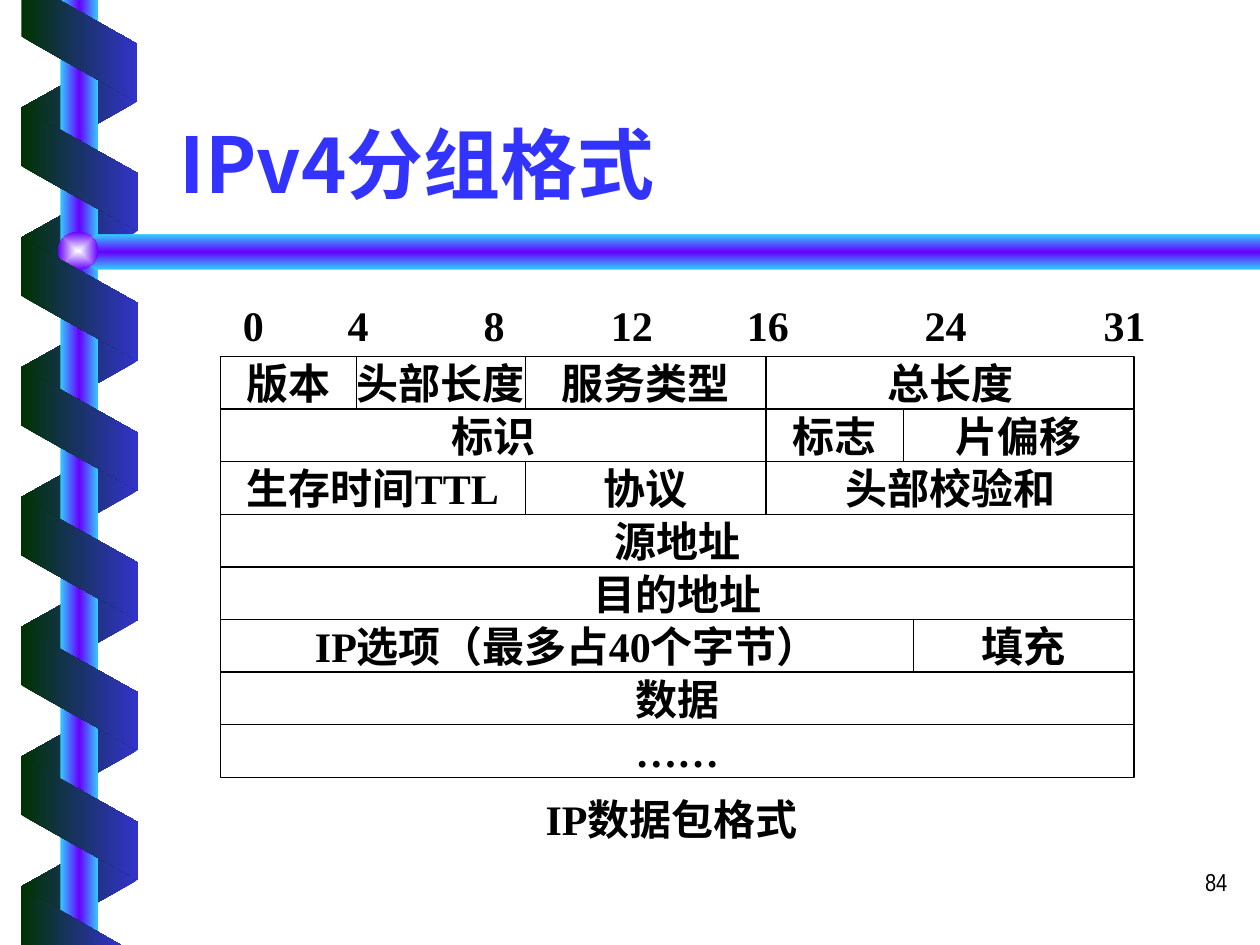
from lxml.etree import SubElement
from pptx import Presentation
from pptx.dml.color import RGBColor
from pptx.enum.shapes import MSO_SHAPE
from pptx.enum.text import MSO_ANCHOR, PP_ALIGN
from pptx.oxml.ns import qn
from pptx.util import Inches, Pt

BLACK = RGBColor(0x00, 0x00, 0x00)
TITLE_BLUE = RGBColor(0x33, 0x33, 0xFF)
RIBBON_BLUE = RGBColor(0x33, 0x33, 0xCC)
RIBBON_GREEN = RGBColor(0x00, 0x33, 0x00)
SKY = RGBColor(0x33, 0xCC, 0xFF)
VIOLET = RGBColor(0x66, 0x00, 0xFF)
PEARL = RGBColor(0xFE, 0xFF, 0xFF)
SERIF = "Times New Roman"
CHINESE = "Noto Sans CJK SC"
NARROW = "Arial Narrow"


def paint_gradient(shape, colors, angle=0, radial=False):
    shape.shadow.inherit = False
    shape.line.fill.background()
    shape.fill.gradient()
    gradient = shape.element.spPr.find(qn("a:gradFill"))
    gradient.set("rotWithShape", "0")
    for child in list(gradient):
        gradient.remove(child)
    stops = SubElement(gradient, qn("a:gsLst"))
    for index, color in enumerate(colors):
        position = 100000 * index // (len(colors) - 1)
        stop = SubElement(stops, qn("a:gs"), pos=str(position))
        SubElement(stop, qn("a:srgbClr"), val=str(color))
    if radial:
        center = SubElement(gradient, qn("a:path"), {"path": "rect"})
        SubElement(center, qn("a:fillToRect"), l="50000", t="50000", r="50000", b="50000")
    else:
        SubElement(gradient, qn("a:lin"), ang=str(angle * 60000), scaled="0")


def write_text(shape, text, size=24, font=SERIF, color=BLACK, bold=True,
               align=PP_ALIGN.CENTER, tabs=()):
    para = shape.text_frame.paragraphs[0]
    para.alignment = align
    if tabs:
        tab_list = SubElement(para._p.get_or_add_pPr(), qn("a:tabLst"))
        for stop in tabs:
            SubElement(tab_list, qn("a:tab"), pos=str(Inches(stop)), algn="l")
    span = para.add_run()
    span.text = text
    span.font.size = Pt(size)
    span.font.bold = bold
    span.font.color.rgb = color
    span.font.name = font
    SubElement(span.font._element, qn("a:ea"), typeface=CHINESE)


deck = Presentation()
deck.slide_width = Inches(10)
deck.slide_height = Inches(7.5)
page = deck.slides.add_slide(deck.slide_layouts[6])
shapes = page.shapes

for turn in range(7):
    back = shapes.add_shape(MSO_SHAPE.PARALLELOGRAM, Inches(0.14), Inches(0.37 + 1.03 * turn),
                            Inches(0.98), Inches(0.92))
    back.adjustments[0] = 0.56
    back.rotation = 90
    back.element.spPr.find(qn("a:xfrm")).set("flipH", "1")
    paint_gradient(back, [RIBBON_BLUE, RIBBON_GREEN])

pole = shapes.add_shape(MSO_SHAPE.RECTANGLE, Inches(0.48), 0, Inches(0.3), Inches(7.5))
paint_gradient(pole, [SKY, VIOLET, SKY])

bar_points = [(10, 1.86), (0.76, 1.86), (0.6, 2), (0.76, 2.14), (10, 2.14)]
ribbon_top = [(0.17, 0), (0.17, 0.29), (1.09, 0.81), (1.09, 0.35), (0.47, 0)]
ribbon_bottom = [(0.96, 7.5), (0.17, 7.05), (0.17, 7.5)]
outlines = [
    (bar_points, [SKY, VIOLET, SKY], 90),
    (ribbon_top, [RIBBON_GREEN, RIBBON_BLUE], 0),
    (ribbon_bottom, [RIBBON_GREEN, RIBBON_BLUE], 0),
]
for points, colors, angle in outlines:
    corners = [(Inches(x), Inches(y)) for x, y in points]
    builder = shapes.build_freeform(*corners[0])
    builder.add_line_segments(corners[1:], close=True)
    paint_gradient(builder.convert_to_shape(), colors, angle)

ball = shapes.add_shape(MSO_SHAPE.OVAL, Inches(0.46), Inches(1.84), Inches(0.32), Inches(0.3))
paint_gradient(ball, [PEARL, VIOLET], radial=True)

for turn in range(6):
    front = shapes.add_shape(MSO_SHAPE.PARALLELOGRAM, Inches(0.14), Inches(0.88 + 1.03 * turn),
                             Inches(0.98), Inches(0.93))
    front.adjustments[0] = 0.56
    front.rotation = 270
    paint_gradient(front, [RIBBON_GREEN, RIBBON_BLUE])

number = shapes.add_textbox(Inches(7.76), Inches(6.83), Inches(2.08), Inches(0.5))
number.text_frame.word_wrap = True
write_text(number, "84", 14, NARROW, bold=False, align=PP_ALIGN.RIGHT)

title = shapes.add_textbox(Inches(1.33), Inches(0.46), Inches(8.5), Inches(1.25))
title.text_frame.word_wrap = True
title.text_frame.vertical_anchor = MSO_ANCHOR.BOTTOM
write_text(title, "IPv4分组格式", 44, CHINESE, TITLE_BLUE, align=PP_ALIGN.LEFT)

ruler = shapes.add_textbox(Inches(1.83), Inches(2.33), Inches(7.42), Inches(0.5))
ruler.text_frame.word_wrap = True
write_text(ruler, "0\t4\t8\t12\t16\t24\t31", align=PP_ALIGN.LEFT,
           tabs=[0.83, 1.91, 2.92, 4, 5.41, 6.83])

LEFT, RIGHT, TOP, BOTTOM = 1.75, 9, 2.83, 6.17
header_rows = [
    [("版本", 2.83), ("头部长度", 4.17), ("服务类型", 6.08), ("总长度", RIGHT)],
    [("标识", 6.08), ("标志", 7.17), ("片偏移", RIGHT)],
    [("生存时间TTL", 4.17), ("协议", 6.08), ("头部校验和", RIGHT)],
    [("源地址", RIGHT)],
    [("目的地址", RIGHT)],
    [("IP选项（最多占40个字节）", 7.25), ("填充", RIGHT)],
    [("数据", RIGHT)],
    [("……", RIGHT)],
]
row_height = (BOTTOM - TOP) / len(header_rows)
for index, fields in enumerate(header_rows):
    start = LEFT
    for label, end in fields:
        field = shapes.add_shape(MSO_SHAPE.RECTANGLE, Inches(start), Inches(TOP + index * row_height),
                                 Inches(end - start), Inches(row_height))
        field.shadow.inherit = False
        field.fill.background()
        field.line.color.rgb = BLACK
        field.line.width = Pt(0.75)
        frame = field.text_frame
        frame.word_wrap = False
        frame.vertical_anchor = MSO_ANCHOR.MIDDLE
        frame.margin_left = frame.margin_right = Inches(0.02)
        frame.margin_top = frame.margin_bottom = Inches(0.01)
        write_text(field, label)
        start = end

caption = shapes.add_textbox(Inches(3.58), Inches(6.25), Inches(3.5), Inches(0.5))
caption.text_frame.word_wrap = True
write_text(caption, "IP数据包格式")

deck.save("out.pptx")
